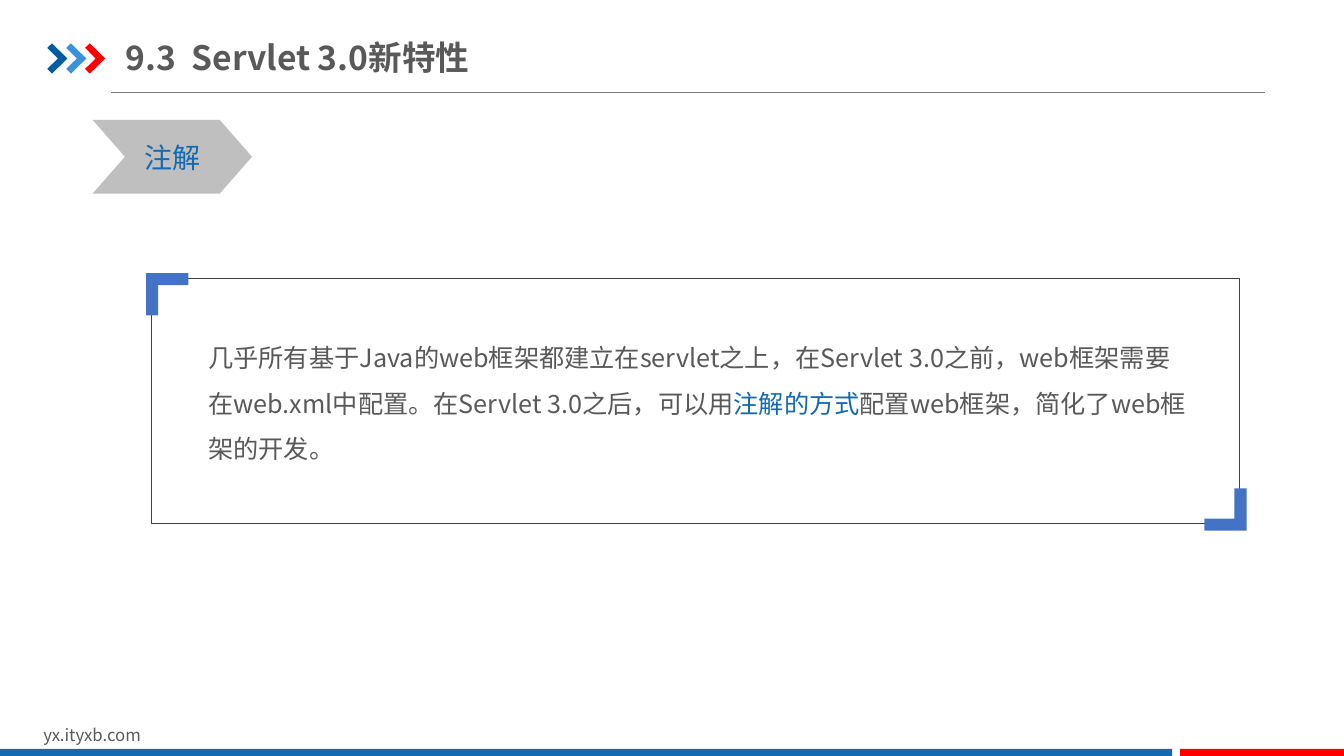
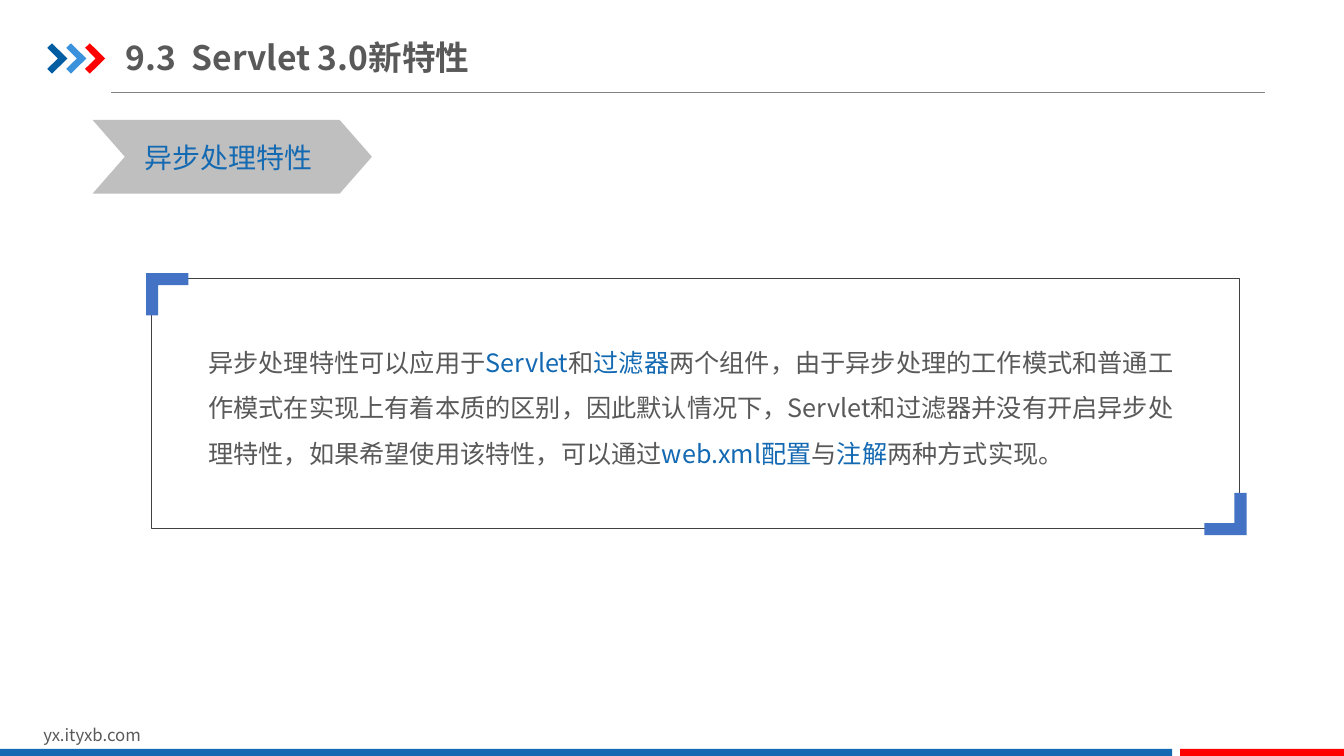
from lxml import etree
from pptx import Presentation
from pptx import util as u
from pptx.dml.color import RGBColor
from pptx.enum import shapes, text
from pptx.oxml.ns import qn


class Theme:
    font = "Noto Sans CJK SC"
    ink = RGBColor.from_string("595959")
    accent = RGBColor.from_string("1369B2")
    red = RGBColor.from_string("FF0000")
    rule = RGBColor.from_string("808080")
    frame = RGBColor.from_string("404040")
    corner = RGBColor.from_string("4472C4")
    label = RGBColor.from_string("BFBFBF")
    arrows = [RGBColor.from_string("005DA2"), RGBColor.from_string("3992DB"), red]
    title_size, label_size, body_size, footer_size = 24, 20, 18, 12


def add_figure(page, fill, kind=None, area=None, outline=None):
    if outline:
        points = [(u.Pt(x), u.Pt(y)) for x, y in outline]
        builder = page.shapes.build_freeform(*points[0], scale=1.0)
        builder.add_line_segments(points[1:], close=True)
        figure = builder.convert_to_shape()
    else:
        figure = page.shapes.add_shape(kind, *map(u.Pt, area))
    figure.shadow.inherit = False
    figure.fill.solid()
    figure.fill.fore_color.rgb = fill
    figure.line.fill.background()
    return figure


def add_text(page, area, pieces, size, color=Theme.ink, wrap=True, bold=None, tab=None):
    box = page.shapes.add_textbox(*map(u.Pt, area))
    box.text_frame.word_wrap = wrap
    para = box.text_frame.paragraphs[0]
    properties = para._p.get_or_add_pPr()
    if tab:
        stops = etree.SubElement(properties, qn("a:tabLst"))
        etree.SubElement(stops, qn("a:tab"), pos=str(u.Pt(tab)), algn="l")
    font = para.font
    font.name, font.size, font.bold = Theme.font, u.Pt(size), bold
    font.color.rgb = color
    defaults = properties.find(qn("a:defRPr"))
    etree.SubElement(defaults, qn("a:ea"), typeface=Theme.font)
    for index, piece in enumerate(pieces):
        span = para.add_run()
        span.text = piece
        if index % 2:
            span.font.color.rgb = Theme.accent
    return box


topics = [
    dict(
        label="注解", label_width=113.8, text_width=54.7,
        frame_height=175, body_top=230.4,
        body=[
            "几乎所有基于Java的web框架都建立在servlet之上，在Servlet 3.0之前，web框架需要在web.xml中配置。在Servlet 3.0之后，可以用",
            "注解的方式",
            "配置web框架，简化了web框架的开发。",
        ],
    ),
    dict(
        label="异步处理特性", label_width=199.5, text_width=135.4,
        frame_height=178.2, body_top=233.6,
        body=[
            "异步处理特性可以应用于",
            "Servlet",
            "和",
            "过滤器",
            "两个组件，由于异步处理的工作模式和普通工作模式在实现上有着本质的区别，因此默认情况下，Servlet和过滤器并没有开启异步处理特性，如果希望使用该特性，可以通过",
            "web.xml配置",
            "与",
            "注解",
            "两种方式实现。",
        ],
    ),
]

arrow_outline = [(0, 3.2), (3.4, 0), (14.4, 10.8), (3.4, 21.6), (0, 18.2), (7.6, 10.8)]
arrow_left, arrow_top, arrow_step = 33.8, 31, 13.5
corner_outline = [(0, 0), (30.2, 0), (30.2, 8.6), (8.6, 8.6), (8.6, 30.2), (0, 30.2)]
frame_left, frame_top, frame_width = 108, 198.8, 777
footer_bands = [(0, 837.2, Theme.accent), (843, 117, Theme.red)]

deck = Presentation()
deck.slide_width, deck.slide_height = u.Pt(960), u.Pt(540)

for topic in topics:
    page = deck.slides.add_slide(deck.slide_layouts[6])

    rule = page.shapes.add_connector(
        shapes.MSO_CONNECTOR.STRAIGHT, u.Pt(79.2), u.Pt(65.8), u.Pt(903.6), u.Pt(65.8))
    rule.line.color.rgb = Theme.rule
    rule.line.width = u.Pt(0.5)
    etree.SubElement(rule._element.spPr, qn("a:effectLst"))

    for index, color in enumerate(Theme.arrows):
        left = arrow_left + index * arrow_step
        add_figure(page, color, outline=[(left + x, arrow_top + y) for x, y in arrow_outline])

    add_text(page, (23.8, 514, 229, 21.8), ["yx.ityxb.com"], Theme.footer_size)
    for left, width, color in footer_bands:
        add_figure(page, color, shapes.MSO_SHAPE.RECTANGLE, (left, 535, width, 5))

    chevron = add_figure(page, Theme.label, shapes.MSO_SHAPE.CHEVRON,
                         (66.2, 85.7, topic["label_width"], 52.6))
    chevron.adjustments[0] = 0.438
    add_text(page, (95.8, 97, topic["text_width"], 31.5), [topic["label"]],
             Theme.label_size, Theme.accent, wrap=False)

    frame = page.shapes.add_shape(
        shapes.MSO_SHAPE.RECTANGLE, u.Pt(frame_left), u.Pt(frame_top),
        u.Pt(frame_width), u.Pt(topic["frame_height"]))
    frame.shadow.inherit = False
    frame.fill.background()
    frame.line.color.rgb = Theme.frame
    frame.line.width = u.Pt(0.25)

    right = frame_left + frame_width + 5.4
    bottom = frame_top + topic["frame_height"] + 5.2
    for left, top, sign in [(frame_left - 3.7, frame_top - 3.7, 1), (right, bottom, -1)]:
        add_figure(page, Theme.corner,
                   outline=[(left + sign * x, top + sign * y) for x, y in corner_outline])

    body = add_text(page, (141.8, topic["body_top"], 717.8, 107), topic["body"], Theme.body_size)
    body.text_frame.paragraphs[0].line_spacing = 1.5

    title = add_text(page, (90, 20.9, 275, 39.6), ["9.3\tServlet 3.0新特性"],
                     Theme.title_size, bold=True, tab=46.8)
    title.text_frame.margin_left = title.text_frame.margin_right = 0
    title.text_frame.vertical_anchor = text.MSO_ANCHOR.MIDDLE

deck.save("out.pptx")
